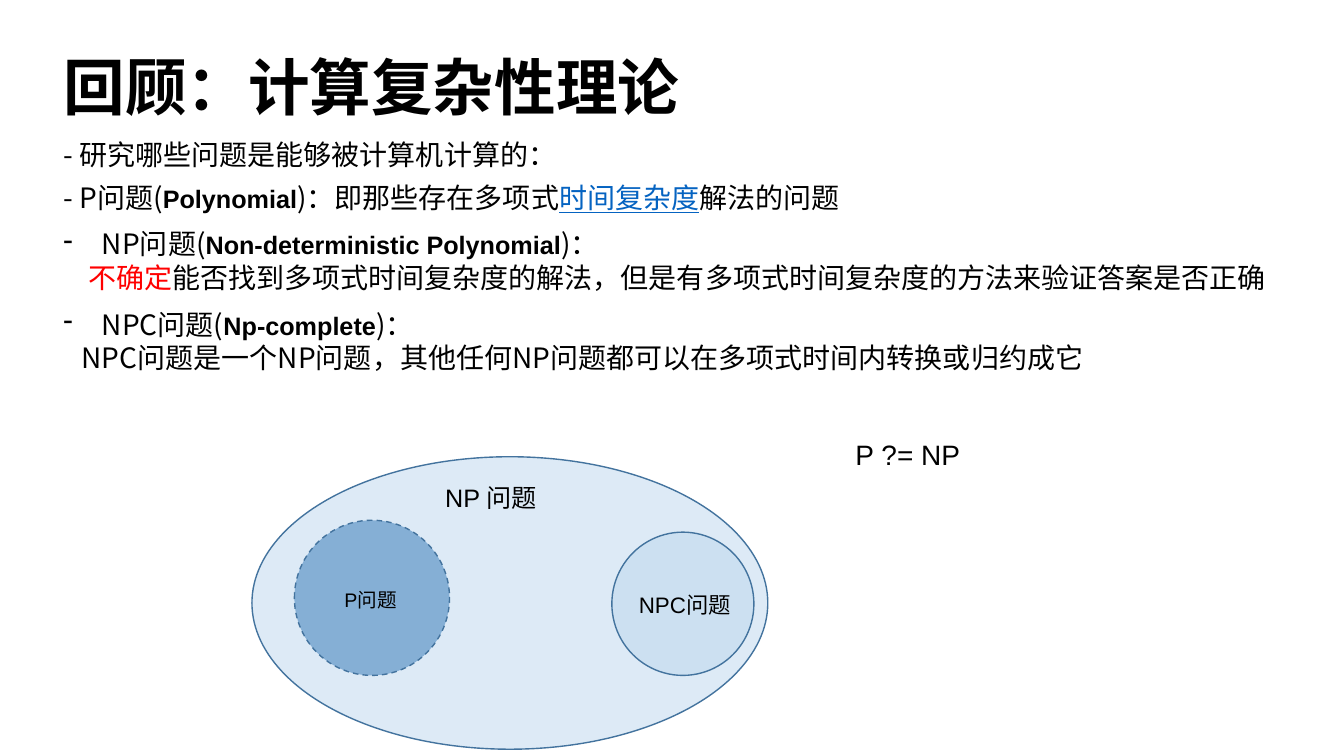
from lxml.etree import SubElement
from pptx import Presentation
from pptx.dml.color import RGBColor
from pptx.enum.dml import MSO_LINE
from pptx.enum.shapes import MSO_SHAPE
from pptx.enum.text import MSO_ANCHOR, MSO_AUTO_SIZE
from pptx.oxml.ns import qn
from pptx.util import Cm, Pt

CJK = "Noto Sans CJK SC"
BODY = {"size": Pt(20), "name": CJK}
TERM = {"size": Pt(18), "name": "Arial", "bold": True}
LINK = {**BODY, "underline": True}
TITLE = {"size": Pt(44), "name": "Montserrat", "bold": True}


def rgb(value):
    return RGBColor.from_string(value)


def add_text(shapes, box, paragraphs, wrap=True):
    tf = shapes.add_textbox(*map(Cm, box)).text_frame
    tf.word_wrap = wrap
    tf.auto_size = MSO_AUTO_SIZE.SHAPE_TO_FIT_TEXT
    for i, (indent, bullet, runs) in enumerate(paragraphs):
        p = tf.paragraphs[0] if i == 0 else tf.add_paragraph()
        if indent:
            pPr = p._p.get_or_add_pPr()
            pPr.set("marL", str(Cm(indent)))
            pPr.set("indent", str(-Cm(indent) if bullet else 0))
            if bullet:
                SubElement(pPr, qn("a:buFontTx"))
                SubElement(pPr, qn("a:buChar")).set("char", bullet)
        for text, color, font in runs:
            r = p.add_run()
            r.text = text
            for key, value in font.items():
                setattr(r.font, key, value)
            r.font.color.rgb = rgb(color)
            SubElement(r._r.rPr, qn("a:ea")).set("typeface", CJK)
    return tf


prs = Presentation()
prs.slide_width, prs.slide_height = Cm(33.87), Cm(19.05)
s = prs.slides.add_slide(prs.slide_layouts[6])

tf = add_text(s.shapes, (1.35, 0.43, 29.21, 3.68),
              [(0, None, [("回顾：计算复杂性理论", "000000", TITLE)])])
tf.auto_size = MSO_AUTO_SIZE.NONE
tf.vertical_anchor = MSO_ANCHOR.MIDDLE
tf.paragraphs[0].line_spacing = 0.9

add_text(s.shapes, (1.35, 3.33, 13.34, 1.12),
         [(0, None, [("- 研究哪些问题是能够被计算机计算的：", "000000", BODY)])], wrap=False)

sets = [
    ((6.35, 11.51, 13, 7.37), "BDD7EE", MSO_LINE.SOLID,
     "NP 问题", 18, (10.97, 12.04, 4.42, 0.81)),
    ((15.42, 13.41, 3.58, 3.61), "BDD7EE", MSO_LINE.SOLID,
     "NPC问题", 16, (15.85, 14.78, 3.53, 0.66)),
    ((7.42, 13.11, 3.91, 3.91), "2E75B6", MSO_LINE.DASH,
     "P问题", 14, (8.43, 14.68, 1.9, 0.69)),
]
for oval, fill, dash, label, size, box in sets:
    group = s.shapes.add_group_shape()
    sp = group.shapes.add_shape(MSO_SHAPE.OVAL, *map(Cm, oval))
    sp.shadow.inherit = False
    sp.fill.solid()
    sp.fill.fore_color.rgb = rgb(fill)
    color = sp.fill._xPr.find(qn("a:solidFill"))[0]
    SubElement(color, qn("a:alpha")).set("val", "50000")
    sp.line.color.rgb = rgb("43739E")
    sp.line.width = Pt(1)
    sp.line.dash_style = dash
    add_text(group.shapes, box,
             [(0, None, [(label, "000000", {"size": Pt(size), "name": "Arial"})])])

add_text(s.shapes, (21.31, 10.9, 3.18, 1.12),
         [(0, None, [("P ?= NP", "000000", {"size": Pt(20), "name": "Arial"})])], wrap=False)

definitions = [
    (4.42, 1.12, [
        (0, None, [("- P问题(", "000000", BODY), ("Polynomial", "000000", TERM),
                   (")：即那些存在多项式", "000000", BODY),
                   ("时间复杂度", "0563C1", LINK),
                   ("解法的问题", "000000", BODY)])]),
    (5.59, 1.96, [
        (0.97, "-", [("NP问题(", "000000", BODY),
                     ("Non-deterministic Polynomial", "000000", TERM),
                     (")：", "000000", BODY)]),
        (0.62, None, [("不确定", "FF0000", BODY),
                      ("能否找到多项式时间复杂度的解法，但是有多项式时间复杂度的方法来验证答案是否正确",
                       "000000", BODY)])]),
    (7.62, 1.96, [
        (0.97, "-", [("NPC问题(", "000000", BODY), ("Np-complete", "000000", TERM),
                     (")：", "000000", BODY)]),
        (0.46, None, [("NPC问题是一个NP问题，其他任何NP问题都可以在多项式时间内转换或归约成它",
                       "000000", BODY)])]),
]
for top, height, paragraphs in definitions:
    add_text(s.shapes, (1.35, top, 32.54, height), paragraphs)

prs.save("out.pptx")
